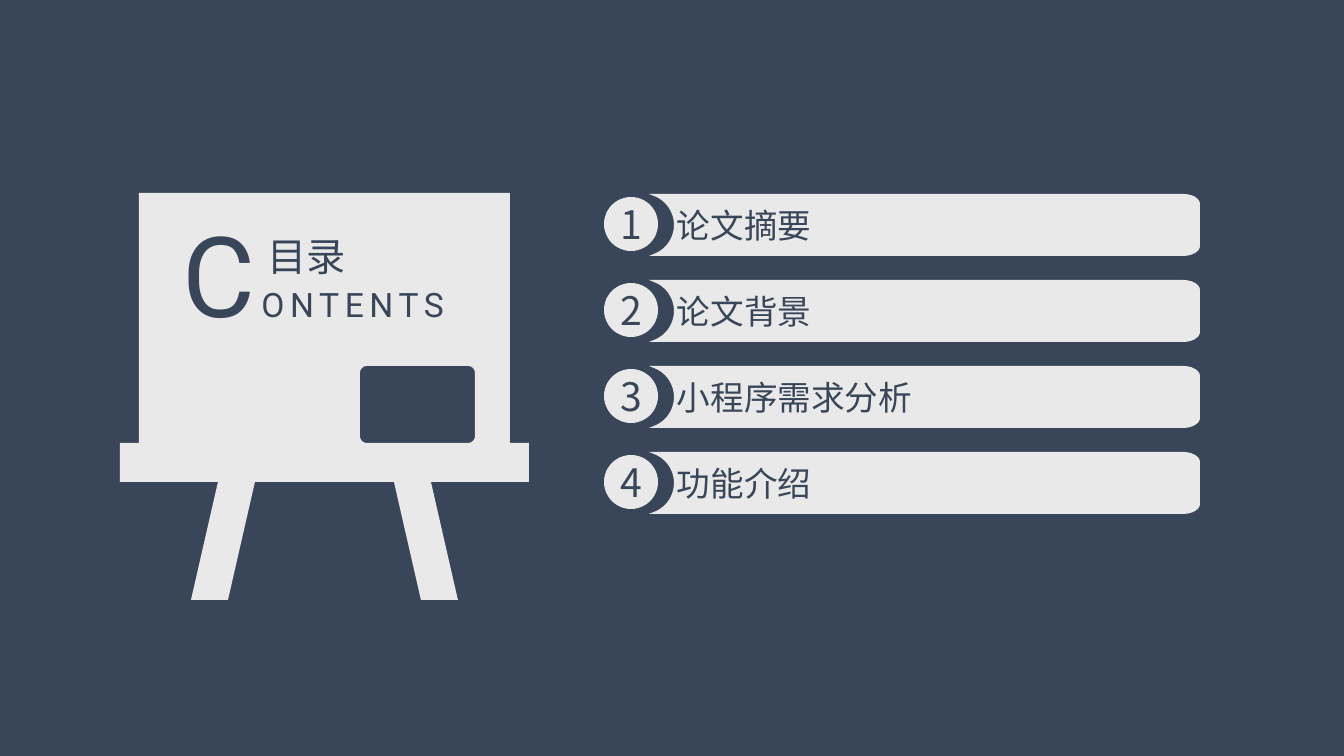
from math import cos, radians, sin

from lxml import etree
from pptx import Presentation
from pptx.dml.color import RGBColor
from pptx.enum.shapes import MSO_SHAPE
from pptx.enum.text import MSO_ANCHOR, MSO_AUTO_SIZE, PP_ALIGN
from pptx.oxml.ns import qn
from pptx.util import Pt

PX = 914400 / 100.8
THEME = {
    "navy": RGBColor(0x39, 0x46, 0x59),
    "light": RGBColor(0xE9, 0xE9, 0xE9),
    "latin": "Roboto",
    "cjk": "Noto Sans CJK SC",
    "initial": 80,
    "heading": 28,
    "body": 24,
}
ITEMS = ["论文摘要", "论文背景", "小程序需求分析", "功能介绍"]
ROW_TOP, ROW_STEP, ROW_H = 194, 86, 62
BAR_LEFT, BAR_RIGHT = 649, 1200


def px(*values):
    return [round(v * PX) for v in values]


def arc(cx, cy, rx, ry, start, end, steps=12):
    angles = [radians(start + (end - start) * i / steps) for i in range(steps + 1)]
    return [(cx + rx * cos(a), cy + ry * sin(a)) for a in angles]


prs = Presentation()
prs.slide_width, prs.slide_height = px(1344, 756)
s = prs.slides.add_slide(prs.slide_layouts[5])
s.background.fill.solid()
s.background.fill.fore_color.rgb = THEME["navy"]

board = [
    (529, 443), (510, 443), (510, 193), (139, 193), (139, 443), (120, 443),
    (120, 482), (218, 482), (191, 600), (228, 600), (255, 482), (394, 482),
    (421, 600), (458, 600), (431, 482), (529, 482),
]
window = (
    arc(468, 436, 7, 7, 90, 0) + arc(468, 373, 7, 7, 0, -90)
    + arc(367, 373, 7, 7, -90, -180) + arc(367, 436, 7, 7, 180, 90)
)
outlines = [[board, window]]
for i in range(len(ITEMS)):
    top = ROW_TOP + ROW_STEP * i
    bottom = top + ROW_H
    outlines.append([
        [(BAR_LEFT, top)]
        + arc(BAR_RIGHT - 17, top + 10, 17, 10, -90, 0)
        + arc(BAR_RIGHT - 17, bottom - 10, 17, 10, 0, 90)
        + [(BAR_LEFT, bottom)]
        + arc(643, top + 31, 31, 31, 67, -67, 24)
    ])

shapes = []
for contours in outlines:
    fb = s.shapes.build_freeform(*px(*contours[0][0]))
    for n, points in enumerate(contours):
        if n:
            fb.move_to(*px(*points[0]))
        fb.add_line_segments([px(*pt) for pt in points[1:]], close=True)
    shapes.append(fb.convert_to_shape())
easel, *bars = shapes

circles = [
    s.shapes.add_shape(MSO_SHAPE.OVAL, *px(604, ROW_TOP + ROW_STEP * i + 3, 54, 54))
    for i in range(len(ITEMS))
]
for sp in shapes + circles:
    sp.shadow.inherit = False
    sp.fill.solid()
    sp.fill.fore_color.rgb = THEME["light"]
    sp.line.fill.background()

contents = s.shapes.add_textbox(*px(173, 214, 314, 117))
title = s.shapes.title
title.left, title.top, title.width, title.height = px(257, 231, 203, 49)
easel._element.addnext(title._element)

label = {"word_wrap": True}
bar_format = dict(zip(
    ("margin_left", "margin_top", "margin_right", "margin_bottom"), px(28, 4, 4, 4)
), word_wrap=True)
number_format = {
    "margin_left": 0, "margin_top": 0, "margin_right": 0, "margin_bottom": 0,
    "word_wrap": False,
}
texts = [
    (contents, [("C", "initial"), ("ONTENTS", "body")], "latin", label, PP_ALIGN.LEFT),
    (title, [("目录", "heading")], "cjk", label, PP_ALIGN.LEFT),
]
for i, item in enumerate(ITEMS):
    texts.append((bars[i], [(item, "body")], "cjk", bar_format, PP_ALIGN.LEFT))
    texts.append(
        (circles[i], [(str(i + 1), "heading")], "cjk", number_format, PP_ALIGN.CENTER)
    )

for sp, runs, face, frame_format, align in texts:
    tf = sp.text_frame
    frame = {
        "auto_size": MSO_AUTO_SIZE.NONE,
        "vertical_anchor": MSO_ANCHOR.MIDDLE,
        **frame_format,
    }
    for name, value in frame.items():
        setattr(tf, name, value)
    p = tf.paragraphs[0]
    p.alignment = align
    for text, size in runs:
        r = p.add_run()
        r.text = text
        for name, value in {"name": THEME[face], "size": Pt(THEME[size])}.items():
            setattr(r.font, name, value)
        r.font.color.rgb = THEME["navy"]
        rPr = r._r.get_or_add_rPr()
        etree.SubElement(rPr, qn("a:ea"), typeface=THEME[face])
        if sp is contents:
            rPr.set("spc", "400")

prs.save("out.pptx")
